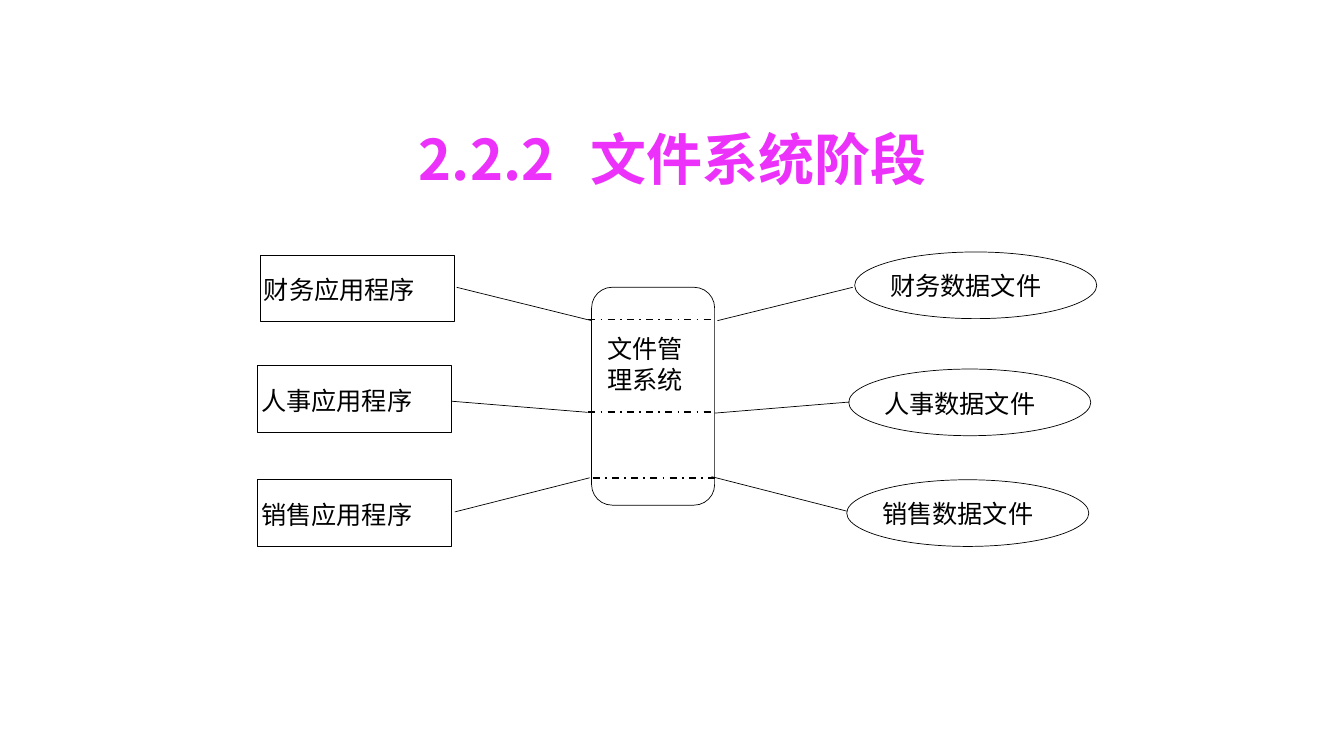
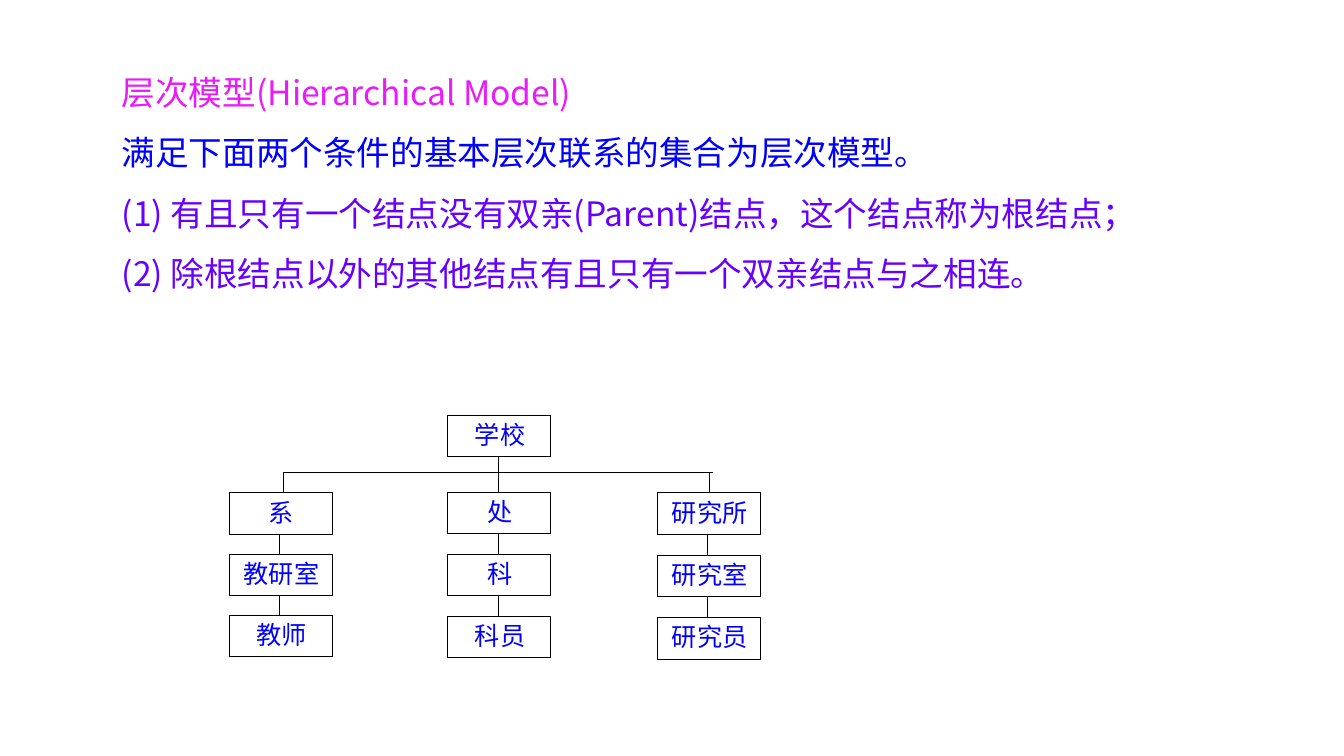
"""Build two slides on file systems and the hierarchical data model."""
from dataclasses import dataclass

from lxml import etree
from pptx import Presentation
from pptx import util as u
from pptx.dml.color import RGBColor
from pptx.enum import dml, shapes, text
from pptx.oxml.ns import qn


@dataclass(frozen=True)
class Theme:
    black: str = "000000"
    white: str = "FFFFFF"
    title: str = "EC32FA"
    heading: str = "E91BF9"
    blue: str = "0000FF"
    violet: str = "6600FF"
    latin: str = "Calibri"
    cjk: str = "Noto Sans CJK SC"
    title_size: int = 40
    body_size: int = 24
    label_size: int = 18
    thin: float = 0.5
    thick: float = 1.25


def write(p, content, *, size, color, font, bold=False, align=None, spacing=None):
    r = p.add_run()
    r.text = content
    r.font.size = u.Pt(size)
    r.font.bold = bold
    r.font.color.rgb = RGBColor.from_string(color)
    r.font.name = font
    etree.SubElement(r.font._element, qn("a:ea")).set("typeface", font)
    p.alignment = align
    if spacing:
        p.line_spacing = spacing


class Deck:
    def __init__(self, theme):
        self.theme = theme
        self.prs = Presentation()
        self.prs.slide_width, self.prs.slide_height = u.Cm(33.87), u.Cm(19.05)
        self.s = None

    def new_slide(self):
        self.s = self.prs.slides.add_slide(self.prs.slide_layouts[6])

    def node(self, kind, box, label, *, insets, **fmt):
        sp = self.s.shapes.add_shape(kind, *map(u.Cm, box))
        sp.shadow.inherit = False
        sp.fill.solid()
        sp.fill.fore_color.rgb = RGBColor.from_string(self.theme.white)
        sp.line.color.rgb = RGBColor.from_string(self.theme.black)
        sp.line.width = u.Pt(self.theme.thin)
        tf = sp.text_frame
        tf.word_wrap = True
        tf.vertical_anchor = text.MSO_ANCHOR.TOP
        tf.margin_left, tf.margin_top, tf.margin_right, tf.margin_bottom = map(u.Cm, insets)
        fmt = {"align": text.PP_ALIGN.LEFT, "color": self.theme.black,
               "font": self.theme.latin, **fmt}
        write(tf.paragraphs[0], label, size=self.theme.label_size, **fmt)
        return sp

    def line(self, x1, y1, x2, y2, dashed=False):
        c = self.s.shapes.add_connector(
            shapes.MSO_CONNECTOR.STRAIGHT, *map(u.Cm, (x1, y1, x2, y2)))
        c.line.color.rgb = RGBColor.from_string(self.theme.black)
        c.line.width = u.Pt(self.theme.thick if dashed else self.theme.thin)
        if dashed:
            c.line.dash_style = dml.MSO_LINE.DASH_DOT
        etree.SubElement(c._element.spPr, qn("a:effectLst"))

    def text_box(self, *box):
        tf = self.s.shapes.add_textbox(*map(u.Cm, box)).text_frame
        tf.word_wrap = True
        return tf

    def title(self, content, box, tab):
        p = self.text_box(*box).paragraphs[0]
        tabs = etree.SubElement(p._p.get_or_add_pPr(), qn("a:tabLst"))
        etree.SubElement(tabs, qn("a:tab"), pos=str(u.Cm(tab)), algn="l")
        write(p, content, size=self.theme.title_size, color=self.theme.title,
              font=self.theme.cjk, bold=True)

    def body(self, lines, box):
        tf = self.text_box(*box)
        for i, (content, color) in enumerate(lines):
            p = tf.add_paragraph() if i else tf.paragraphs[0]
            write(p, content, size=self.theme.body_size, color=color,
                  font=self.theme.cjk, spacing=1.5, align=text.PP_ALIGN.JUSTIFY)


def file_system_slide(deck):
    deck.new_slide()
    kinds = shapes.MSO_SHAPE
    subjects = ("财务", "人事", "销售")
    app_corners = ((6.55, 6.43), (6.48, 9.22), (6.48, 12.09))
    file_corners = ((21.54, 6.35), (21.39, 9.3), (21.34, 12.09))
    for subject, app, data in zip(subjects, app_corners, file_corners):
        deck.node(kinds.RECTANGLE, (*app, 4.9, 1.68), subject + "应用程序",
                  insets=(0.1, 0.1, 0, 0), spacing=1.5)
        deck.node(kinds.OVAL, (*data, 6.1, 1.68), subject + "数据文件",
                  insets=(0, 0, 0, 0), spacing=1.3)
    manager = deck.node(kinds.ROUNDED_RECTANGLE, (14.91, 7.24, 3.1, 5.49),
                        "文件管理系统", insets=(0.25, 1.02, 0.25, 0.13))
    manager.adjustments[0] = 0.167
    for x, y in ((14.83, 8.05), (14.83, 10.39), (14.94, 12.04)):
        deck.line(x, y, x + 3.2, y, dashed=True)
    for ends in ((11.51, 7.24, 14.91, 8.08), (11.38, 10.11, 14.81, 10.39),
                 (11.46, 12.9, 14.86, 12.04), (18.08, 8.08, 21.49, 7.24),
                 (18.01, 10.41, 21.41, 10.13), (17.93, 12.01, 21.34, 12.88)):
        deck.line(*ends)
    deck.title("2.2.2\t文件系统阶段", (10.31, 3.02, 14.2, 1.96), tab=4.32)


def hierarchy_slide(deck):
    deck.new_slide()
    theme = deck.theme
    width, height = 2.6, 1.05
    root_x, root_y, bar_y = 11.28, 10.46, 11.91

    def box(x, y, label):
        deck.node(shapes.MSO_SHAPE.RECTANGLE, (x, y, width, height), label,
                  insets=(0.05, 0.1, 0, 0), color=theme.blue, font=theme.cjk,
                  align=text.PP_ALIGN.CENTER)

    box(root_x, root_y, "学校")
    deck.line(12.55, root_y + height, 12.55, bar_y)
    deck.line(7.14, bar_y, 17.98, bar_y)
    branches = (
        (5.77, 12.42, 1.54, 7.14, ("系", "教研室", "教师")),
        (root_x, 12.4, 1.56, 12.55, ("处", "科", "科员")),
        (16.56, 12.42, 1.57, 17.88, ("研究所", "研究室", "研究员")),
    )
    for x, top, pitch, drop_x, labels in branches:
        deck.line(drop_x, bar_y, drop_x, top)
        link_x = x + width / 2 - 0.03
        for i, label in enumerate(labels):
            y = top + i * pitch
            box(x, y, label)
            if i:
                deck.line(link_x, y - pitch + height, link_x, y)
    deck.body((
        ("层次模型(Hierarchical Model)", theme.heading),
        ("满足下面两个条件的基本层次联系的集合为层次模型。", theme.blue),
        ("(1) 有且只有一个结点没有双亲(Parent)结点，这个结点称为根结点；", theme.violet),
        ("(2) 除根结点以外的其他结点有且只有一个双亲结点与之相连。", theme.violet),
    ), (2.82, 1.17, 28.27, 6.4))


def main():
    deck = Deck(Theme())
    file_system_slide(deck)
    hierarchy_slide(deck)
    deck.prs.save("out.pptx")


if __name__ == "__main__":
    main()
